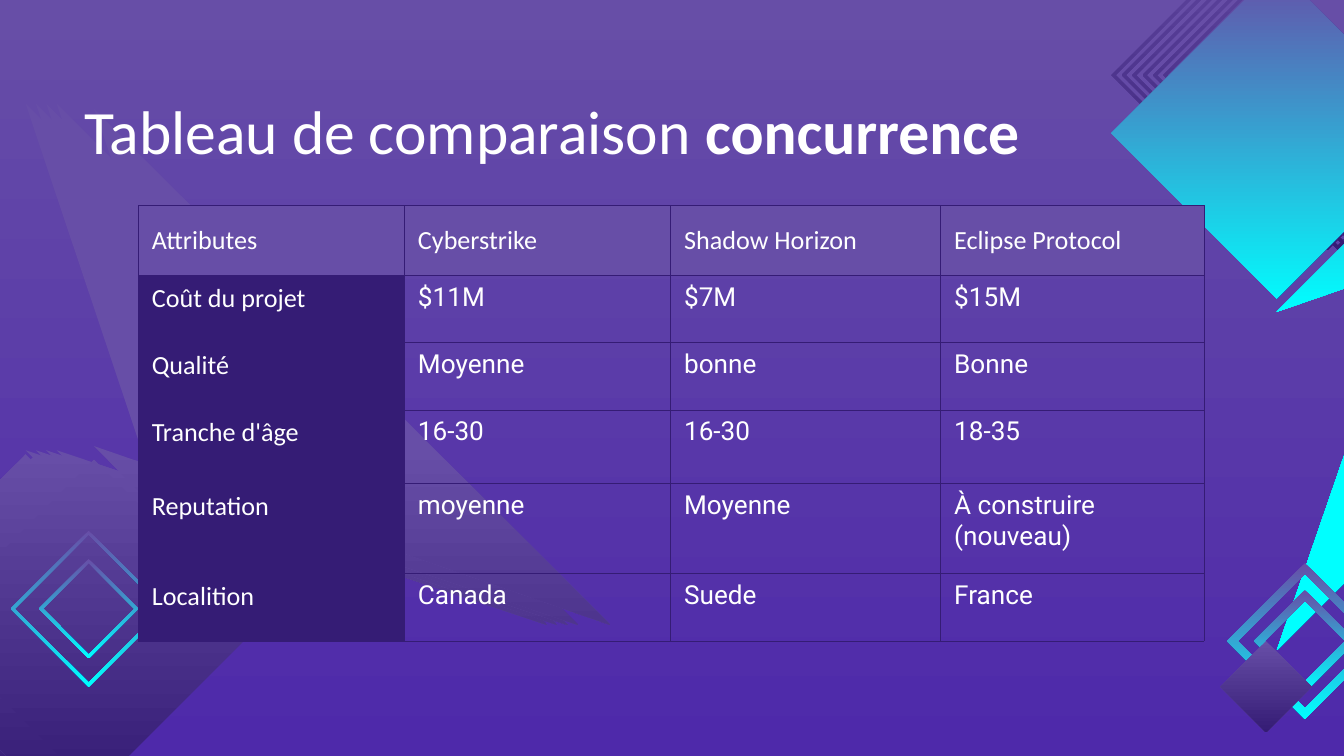
from lxml import etree
from pptx import Presentation
from pptx.dml.color import RGBColor
from pptx.enum.text import MSO_ANCHOR, MSO_AUTO_SIZE, PP_ALIGN
from pptx.oxml.ns import qn
from pptx.util import Inches, Pt

TOP, MIDDLE = MSO_ANCHOR.TOP, MSO_ANCHOR.MIDDLE
NO_FIT = MSO_AUTO_SIZE.NONE
LEFT = PP_ALIGN.LEFT
LILAC, DARK, CYAN, VIOLET, WHITE = "674EA7", "351C75", "00FFFF", "4E29AA", "FFFFFF"


def rgb(code):
    return RGBColor.from_string(code)


def diamond(home, x, y, inner, outer, end, far=0):
    """Draw a ring, or with far a solid diamond and a spike reaching far.

    The spike points up for a positive far and down for a negative one.
    The gradient runs from lilac to end over the height of the diamond.
    """
    loops = []
    if inner:
        loops.append([(x + inner, y), (x, y + inner), (x - inner, y), (x, y - inner)])
    if far:
        tip = outer if far > 0 else -outer
        loops.append([(x, y - far), (x + outer, y), (x, y - tip), (x + abs(far), y)])
    else:
        loops.append([(x, y + outer), (x + outer, y), (x, y - outer), (x - outer, y)])

    loops = [[(Inches(a), Inches(b)) for a, b in loop] for loop in loops]
    pen = home.build_freeform(*loops[0][0])
    pen.add_line_segments(loops[0][1:], close=True)
    for loop in loops[1:]:
        pen.move_to(*loop[0])
        pen.add_line_segments(loop[1:], close=True)
    shape = pen.convert_to_shape()
    shape.shadow.inherit = False
    shape.line.fill.background()

    shape.fill.gradient()
    shape.fill.gradient_angle = 270
    spots = (Inches(y - outer), Inches(y + outer))
    for stop, code, spot in zip(shape.fill.gradient_stops, (LILAC, end), spots):
        stop.color.rgb = rgb(code)
        stop.position = min(1, max(0, (spot - shape.top) / shape.height))


prs = Presentation()
prs.slide_width, prs.slide_height = Inches(10), Inches(5.625)
slide = prs.slides.add_slide(prs.slide_layouts[5])
shapes = slide.shapes

# Background
back = slide.background.fill
back.gradient()
back.gradient_angle = 270
for stop, code, spot in zip(back.gradient_stops, (LILAC, VIOLET), (0, 1)):
    stop.color.rgb = rgb(code)
    stop.position = spot

# Top right corner
lines = shapes.add_group_shape().shapes
for i in range(8):
    diamond(lines, 9.57 + i * 0.077, 0.56, 1.27, 1.3, DARK)
diamond(shapes, 9.5, 0.99, 1.23, 1.33, CYAN, far=-3.85)

# Left side
left = shapes.add_group_shape().shapes
for i in range(4):
    diamond(left, 0.19 + i * 0.077, 4.65, 1.27, 1.3, DARK, far=3.88)
diamond(left, 0.7, 4.65, 1.23, 1.33, DARK, far=3.84)
for inner, outer in ((0.55, 0.58), (0.34, 0.37)):
    diamond(left, 0.66, 4.53, inner, outer, CYAN)

# Bottom right corner
rings = shapes.add_group_shape().shapes
for inner, outer in ((0.5, 0.58), (0.3, 0.38)):
    diamond(rings, 9.71, 4.77, inner, outer, CYAN)
diamond(shapes, 9.42, 5.11, 0, 0.34, DARK)

# Title, brought in front of the decoration
title = shapes.title
title.element.getparent().append(title.element)
title.left, title.top = Inches(0.53), Inches(0.59)
title.width, title.height = Inches(8.69), Inches(0.63)
frame = title.text_frame
frame.auto_size = NO_FIT
frame.word_wrap = True
frame.vertical_anchor = TOP
frame.margin_left = frame.margin_right = Inches(0.1)
frame.margin_top = frame.margin_bottom = Inches(0.1)
para = frame.paragraphs[0]
para.alignment = LEFT
para.font.name, para.font.size = "Calibri", Pt(33)
para.font.color.rgb = rgb(WHITE)
para.add_run().text = "Tableau de comparaison "
bold = para.add_run()
bold.text = "concurrence"
bold.font.bold = True

# Comparison table
rows = [
    ("Attributes", "Cyberstrike", "Shadow Horizon", "Eclipse Protocol"),
    ("Coût du projet", "$11M", "$7M", "$15M"),
    ("Qualité", "Moyenne", "bonne", "Bonne"),
    ("Tranche d'âge", "16-30", "16-30", "18-35"),
    ("Reputation", "moyenne", "Moyenne", "À construire (nouveau)"),
    ("Localition", "Canada", "Suede", "France"),
]
widths = (1.98, 1.98, 2.01, 1.96)
heights = (0.52, 0.5, 0.5, 0.55, 0.67, 0.5)
table = shapes.add_table(
    len(rows), len(widths), Inches(1.03), Inches(1.53),
    Inches(sum(widths)), Inches(sum(heights)),
).table
table.first_row = table.horz_banding = False
for col, width in zip(table.columns, widths):
    col.width = Inches(width)
for row, height in zip(table.rows, heights):
    row.height = Inches(height)

for r, texts in enumerate(rows):
    for c, text in enumerate(texts):
        cell = table.cell(r, c)
        cell.text = text
        cell.vertical_anchor = TOP if r else MIDDLE
        font = cell.text_frame.paragraphs[0].font
        font.name = "Roboto" if r and c else "Calibri"
        font.size, font.bold = Pt(14), False
        font.color.rgb = rgb(WHITE)

        props = cell._tc.get_or_add_tcPr()
        for side in ("a:lnL", "a:lnR", "a:lnT", "a:lnB"):
            edge = etree.SubElement(props, qn(side), w=str(Pt(0.34)))
            solid = etree.SubElement(edge, qn("a:solidFill"))
            etree.SubElement(solid, qn("a:srgbClr"), val=DARK)
        if r and c:
            cell.fill.background()
        else:
            cell.fill.solid()
            cell.fill.fore_color.rgb = rgb(DARK if r else LILAC)

prs.save("out.pptx")
